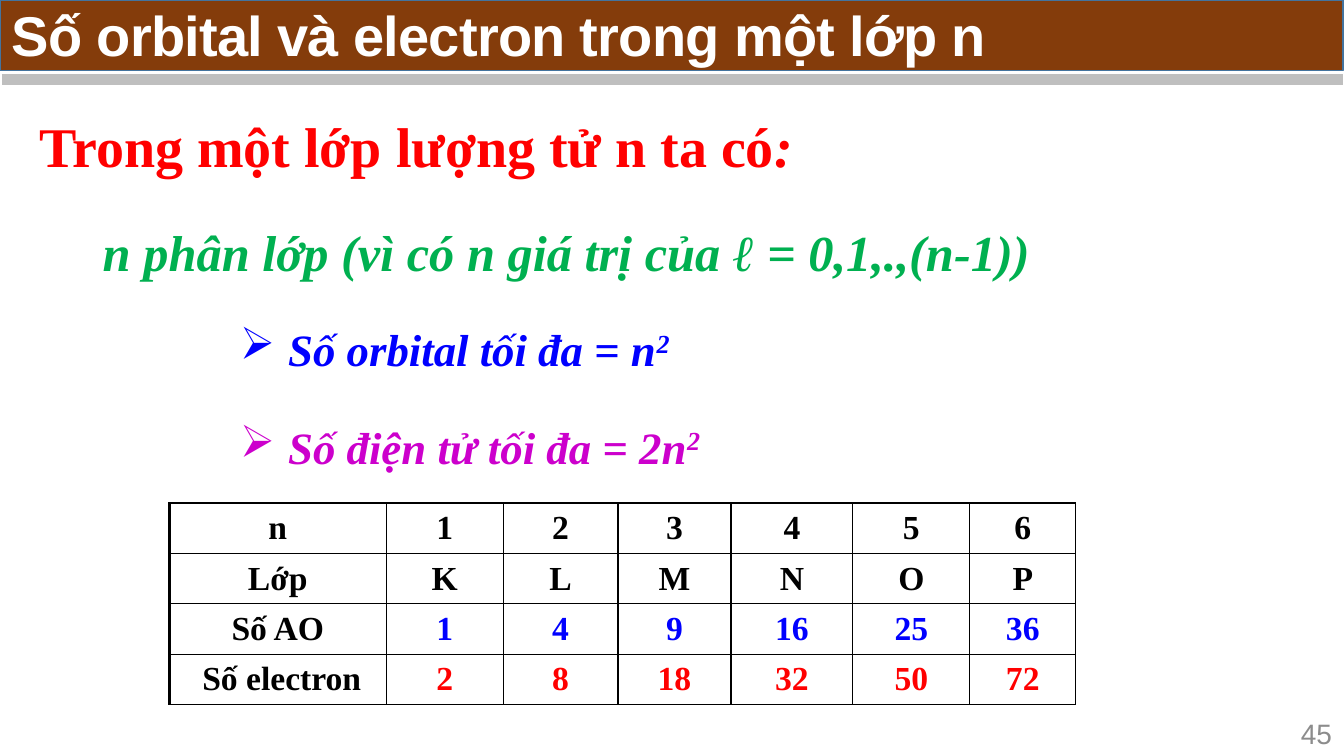
import pptx
import pptx.dml.color
import pptx.enum.shapes
import pptx.enum.text
import pptx.oxml
import pptx.oxml.ns
import pptx.util
from dataclasses import dataclass

EMU_PER_PX = 9144  # 100 px to the inch
ALIGN = pptx.enum.text.PP_ALIGN
MIDDLE = pptx.enum.text.MSO_ANCHOR.MIDDLE


@dataclass(frozen=True)
class Theme:
    sans: str = "Arial"
    serif: str = "Times New Roman"
    brown: str = "843C0B"
    outline: str = "43739E"
    rule: str = "BFBFBF"
    page_number: str = "8C8C8C"
    white: str = "FFFFFF"
    black: str = "000000"
    red: str = "FF0000"
    green: str = "00B050"
    blue: str = "0000FF"
    magenta: str = "CC00CC"
    heading_size: int = 40
    subheading_size: int = 36
    bullet_size: int = 32
    table_size: int = 24
    number_size: int = 20


THEME = Theme()


def px(length):
    return pptx.util.Emu(length * EMU_PER_PX)


def rgb(color):
    return pptx.dml.color.RGBColor.from_string(color)


def add_child(parent, tag, content="", **attributes):
    """Append a DrawingML element to parent."""
    listed = "".join(f' {name}="{value}"' for name, value in attributes.items())
    namespace = pptx.oxml.ns.nsdecls("a")
    parent.append(pptx.oxml.parse_xml(f"<a:{tag} {namespace}{listed}>{content}</a:{tag}>"))


def style_run(run, font_name, size, color, bold=True, italic=False):
    font = run.font
    font.name = font_name
    font.size = pptx.util.Pt(size)
    font.color.rgb = rgb(color)
    font.bold = bold
    font.italic = italic


def add_text(slide, left, top, width, height, text, font_name, size, color,
             bold=True, italic=False, wrap=True):
    """Add a one-paragraph text box and return its paragraph."""
    box = slide.shapes.add_textbox(px(left), px(top), px(width), px(height))
    box.text_frame.word_wrap = wrap
    box.text_frame.text = text
    paragraph = box.text_frame.paragraphs[0]
    style_run(paragraph.runs[0], font_name, size, color, bold, italic)
    return paragraph


def add_title_bar(slide, title):
    rule = slide.shapes.add_connector(
        pptx.enum.shapes.MSO_CONNECTOR.STRAIGHT, px(2), px(79), px(1332), px(79))
    rule.line.color.rgb = rgb(THEME.rule)
    rule.line.width = pptx.util.Pt(8)
    add_child(rule._element.spPr, "effectLst")

    bar = slide.shapes.add_shape(
        pptx.enum.shapes.MSO_SHAPE.RECTANGLE, 0, 0, px(1332), px(70))
    bar.shadow.inherit = False
    bar.fill.solid()
    bar.fill.fore_color.rgb = rgb(THEME.brown)
    bar.line.color.rgb = rgb(THEME.outline)
    bar.line.width = pptx.util.Pt(1)

    paragraph = add_text(slide, 2, 6, 1297, 64, title,
                         THEME.sans, THEME.heading_size, THEME.white)
    paragraph.line_spacing = 0.85
    paragraph.runs[0]._r.get_or_add_rPr().set("spc", "-50")


def add_squared_bullets(slide, left, top, width, height, bullets):
    """Add arrow bullets, each ending in a superscript 2."""
    box = slide.shapes.add_textbox(px(left), px(top), px(width), px(height))
    frame = box.text_frame
    frame.word_wrap = True
    for index, (text, color) in enumerate(bullets):
        paragraph = frame.add_paragraph() if index else frame.paragraphs[0]
        paragraph.text = text
        paragraph.add_run().text = "2"
        paragraph.line_spacing = 1.5
        paragraph.space_before = pptx.util.Pt(6 if index else 0)
        paragraph.space_after = pptx.util.Pt(6)
        properties = paragraph._p.get_or_add_pPr()
        properties.set("marL", str(px(48)))
        properties.set("indent", str(px(-48)))
        add_child(properties, "buChar", char="➢")
        for run in paragraph.runs:
            style_run(run, THEME.serif, THEME.bullet_size, color, italic=True)
        paragraph.runs[1]._r.get_or_add_rPr().set("baseline", "30000")


def set_borders(cell, left_width):
    properties = cell._tc.get_or_add_tcPr()
    fill = f'<a:solidFill><a:srgbClr val="{THEME.black}"/></a:solidFill>'
    for tag, width in (("lnL", left_width), ("lnR", 1), ("lnT", 1), ("lnB", 1)):
        add_child(properties, tag, fill, w=pptx.util.Pt(width))


def add_shell_table(slide, left, top, column_widths, row_height, rows):
    """Add the table; each row is a label, its values and their colour."""
    table = slide.shapes.add_table(
        len(rows), len(column_widths), px(left), px(top),
        px(sum(column_widths)), px(row_height * len(rows))).table
    table.first_row = False
    table.horz_banding = False
    for column, width in zip(table.columns, column_widths):
        column.width = px(width)
    for row, (label, values, value_color) in enumerate(rows):
        table.rows[row].height = px(row_height)
        for column, value in enumerate([label, *values]):
            cell = table.cell(row, column)
            cell.text = str(value)
            cell.vertical_anchor = MIDDLE
            paragraph = cell.text_frame.paragraphs[0]
            paragraph.alignment = ALIGN.CENTER
            style_run(paragraph.runs[0], THEME.serif, THEME.table_size,
                      value_color if column else THEME.black)
            set_borders(cell, 1 if column else 2.25)
            cell.fill.background()
    table.cell(len(rows) - 1, 0).margin_left = px(18)


def main():
    presentation = pptx.Presentation()
    presentation.slide_width = px(1333)
    presentation.slide_height = px(750)
    slide = presentation.slides.add_slide(presentation.slide_layouts[6])

    add_title_bar(slide, "Số orbital và electron trong một lớp n")

    lead = add_text(slide, 29, 106, 908, 77, "Trong một lớp lượng tử n ta có",
                    THEME.serif, THEME.heading_size, THEME.red)
    colon = lead.add_run()
    colon.text = ":"
    style_run(colon, THEME.serif, THEME.heading_size, THEME.red, italic=True)

    subshells = add_text(slide, 92, 184, 949, 90,
                         "n phân lớp (vì có n giá trị của ℓ = 0,1,.,(n-1))",
                         THEME.serif, THEME.subheading_size, THEME.green,
                         italic=True, wrap=False)
    subshells.line_spacing = 1.5

    add_squared_bullets(slide, 228, 288, 637, 211, [
        ("Số orbital tối đa = n", THEME.blue),
        ("Số điện tử tối đa = 2n", THEME.magenta),
    ])

    shells = range(1, 7)
    add_shell_table(slide, 168, 499, [215, 116, 114, 112, 121, 116, 105], 50, [
        ("n", shells, THEME.black),
        ("Lớp", "KLMNOP", THEME.black),
        ("Số AO", [n ** 2 for n in shells], THEME.blue),
        ("Số electron", [2 * n ** 2 for n in shells], THEME.red),
    ])

    number = add_text(slide, 1276, 706, 55, 40, "45", THEME.sans,
                      THEME.number_size, THEME.page_number, bold=False)
    number.alignment = ALIGN.RIGHT

    presentation.save("out.pptx")


if __name__ == "__main__":
    main()
